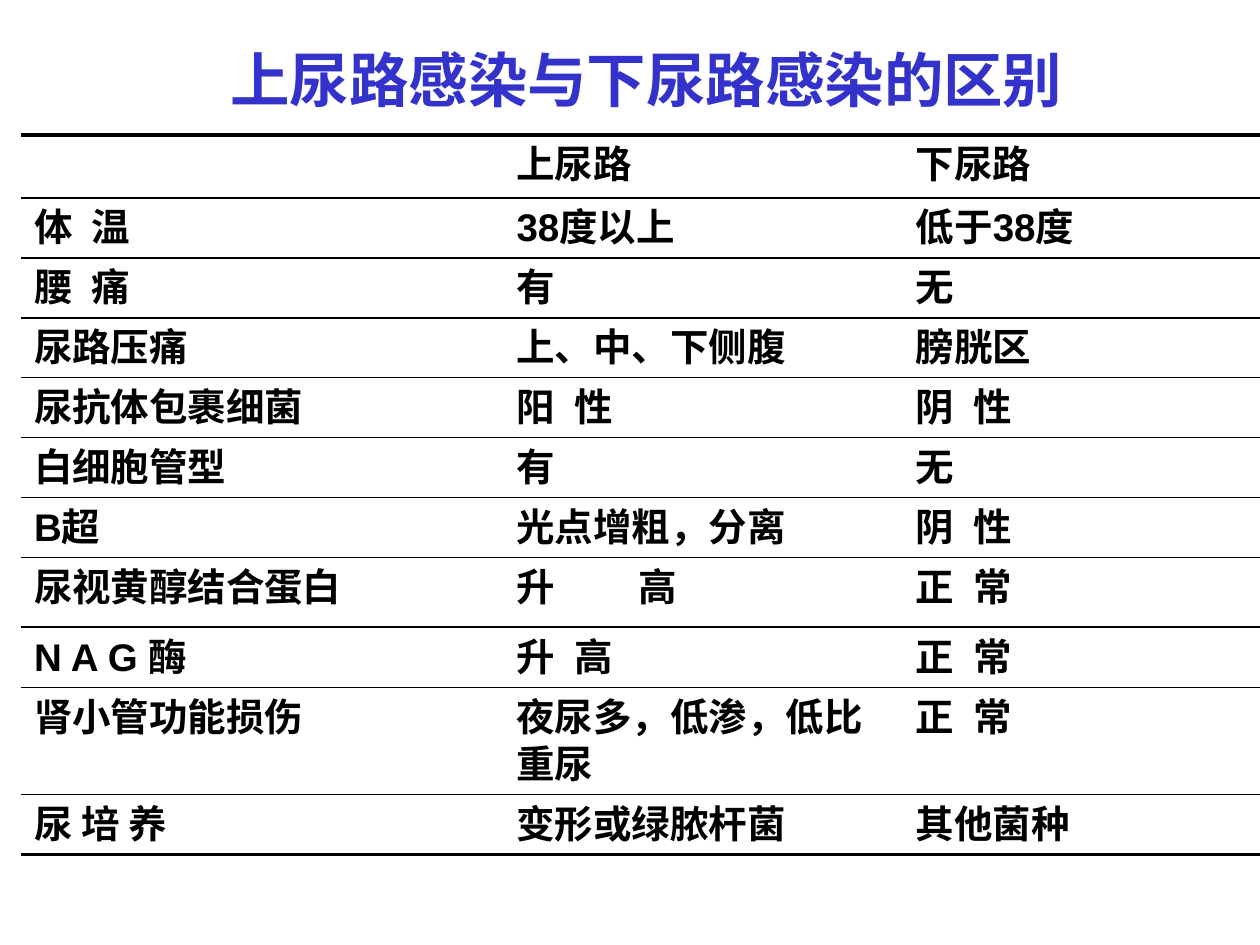
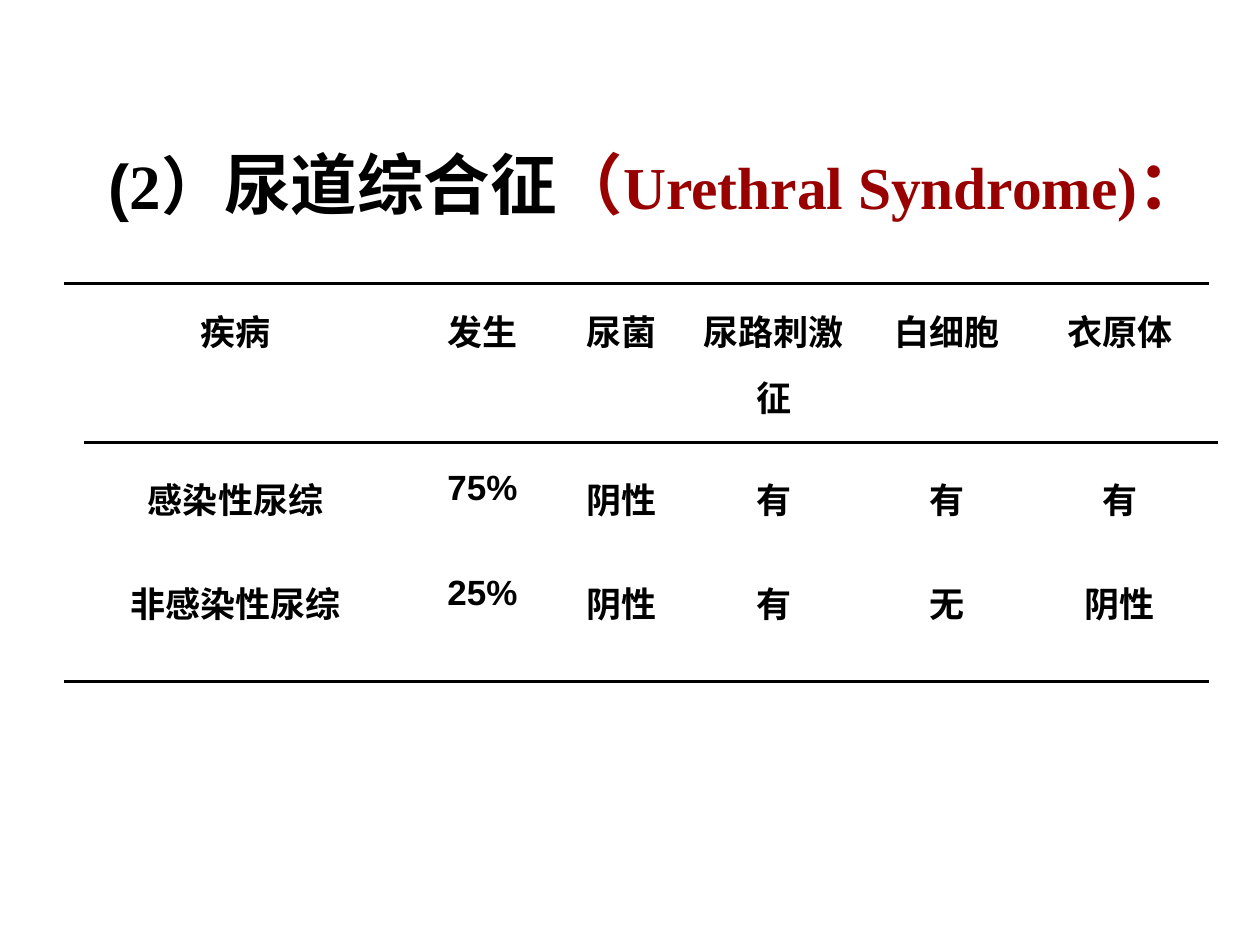
from pptx import Presentation
from pptx.dml.color import RGBColor
from pptx.enum.shapes import MSO_CONNECTOR as CONN
from pptx.enum.text import MSO_ANCHOR as ANCHOR, PP_ALIGN as ALIGN
from pptx.oxml.ns import qn
from pptx.util import Inches, Pt
from lxml.etree import SubElement

BLACK = RGBColor(0x00, 0x00, 0x00)
BLUE = RGBColor(0x33, 0x33, 0xCC)
DARK_RED = RGBColor(0x99, 0x00, 0x00)
ARIAL, TIMES, CJK = "Arial", "Times New Roman", "Noto Sans CJK SC"
THIN, THICK = 1, 2.25
TITLE_INDENT = 0.42


def add_run(p, text, size, font=ARIAL, color=BLACK, gap=0):
    """Add a bold run; gap widens the space after each letter, in points."""
    r = p.add_run()
    r.text = text
    for name, value in {"size": Pt(size), "name": font, "bold": True}.items():
        setattr(r.font, name, value)
    r.font.color.rgb = color
    rpr = r._r.get_or_add_rPr()
    SubElement(rpr, qn("a:ea"), typeface=CJK)
    if gap:
        rpr.set("spc", str(round(gap * 100)))


def add_title(slide, box, runs, line_spacing=1.0):
    tf = slide.shapes.add_textbox(*map(Inches, box)).text_frame
    for name, value in {"word_wrap": True, "vertical_anchor": ANCHOR.MIDDLE,
                        "margin_left": Inches(0.1 + TITLE_INDENT)}.items():
        setattr(tf, name, value)
    p = tf.paragraphs[0]
    p.alignment, p.line_spacing = ALIGN.CENTER, line_spacing
    for run in runs:
        add_run(p, *run)


def set_borders(cell, top, bottom):
    """Rule a cell above and below; a width of 0 means no line."""
    tc_pr = cell._tc.get_or_add_tcPr()
    for side, width in {"L": 0, "R": 0, "T": top, "B": bottom}.items():
        ln = SubElement(tc_pr, qn(f"a:ln{side}"), w=str(Pt(width)))
        if width:
            fill = SubElement(ln, qn("a:solidFill"))
            SubElement(fill, qn("a:srgbClr"), val=str(BLACK))
        else:
            SubElement(ln, qn("a:noFill"))


def fill_cell(cell, content, size, align, line_spacing):
    """Write text, or a (first, second, gap) pair of spread characters."""
    p = cell.text_frame.paragraphs[0]
    p.alignment, p.line_spacing = align, line_spacing
    if isinstance(content, tuple):
        first, second, gap = content
        add_run(p, first, size)
        add_run(p, " ", size, gap=gap)
        add_run(p, second, size)
    elif content:
        add_run(p, content, size)


def add_ruled_table(slide, left, top, widths, heights, rows, inner_rule,
                    size, align, line_spacing):
    """Open table: thick rules outside, inner_rule between the rows."""
    box = map(Inches, (left, top, sum(widths), sum(heights)))
    table = slide.shapes.add_table(len(rows), len(widths), *box).table
    table.first_row = table.horz_banding = False
    for column, width in zip(table.columns, widths):
        column.width = Inches(width)
    rules = [THICK] + [inner_rule] * (len(rows) - 1) + [THICK]
    for i, (row, height) in enumerate(zip(rows, heights)):
        table.rows[i].height = Inches(height)
        for j, content in enumerate(row):
            cell = table.cell(i, j)
            set_borders(cell, rules[i], rules[i + 1])
            cell.fill.background()
            fill_cell(cell, content, size, align, line_spacing)


def add_rule(slide, left, right, y, width):
    line = slide.shapes.add_connector(
        CONN.STRAIGHT, Inches(left), Inches(y), Inches(right), Inches(y))
    line.line.color.rgb, line.line.width = BLACK, Pt(width)
    SubElement(line._element.spPr, qn("a:effectLst"))


def comparison_slide(slide):
    narrow, wide = 6.1, 42.8
    normal, negative = ("正", "常", narrow), ("阴", "性", narrow)
    rows = [
        ("", "上尿路", "下尿路"),
        (("体", "温", narrow), "38度以上", "低于38度"),
        (("腰", "痛", narrow), "有", "无"),
        ("尿路压痛", "上、中、下侧腹", "膀胱区"),
        ("尿抗体包裹细菌", ("阳", "性", narrow), negative),
        ("白细胞管型", "有", "无"),
        ("B超", "光点增粗，分离", negative),
        ("尿视黄醇结合蛋白", ("升", "高", wide), normal),
        ("N A G 酶", ("升", "高", narrow), normal),
        ("肾小管功能损伤", "夜尿多，低渗，低比重尿", normal),
        ("尿 培 养", "变形或绿脓杆菌", "其他菌种"),
    ]
    heights = [0.5, 0.45, 0.45, 0.45, 0.47, 0.45, 0.47, 0.55, 0.48, 0.72, 0.46]
    add_ruled_table(slide, 0.17, 1.07, [3.83, 3.17, 2.83], heights, rows,
                    THIN, 22, ALIGN.LEFT, 0.85)
    add_title(slide, (0.98, 0, 7.88, 1.25),
              [("上尿路感染与下尿路感染的区别", 34, CJK, BLUE)])


def syndrome_slide(slide):
    add_title(slide, (0, 0.68, 10, 1.42), [
        ("(", 36),
        ("2）", 36, TIMES),
        ("尿道综合征", 38, TIMES),
        ("（", 38, TIMES, DARK_RED),
        ("Urethral Syndrome)", 34, TIMES, DARK_RED),
        ("：", 38, TIMES, DARK_RED),
    ], 1.2)
    rows = [
        ("疾病", "发生", "尿菌", "尿路刺激征", "白细胞", "衣原体"),
        ("感染性尿综", "75%", "阴性", "有", "有", "有"),
        ("非感染性尿综", "25%", "阴性", "有", "无", "阴性"),
    ]
    add_ruled_table(slide, 0.51, 2.25, [2.72, 1.2, 1, 1.42, 1.33, 1.42],
                    [1.33, 0.83, 1], rows, 0, 20, ALIGN.CENTER, 1.3)
    # Rule under the header row
    add_rule(slide, 0.67, 9.67, 3.51, 1.5)


def main():
    prs = Presentation()
    prs.slide_width, prs.slide_height = Inches(10), Inches(7.5)
    for build in (comparison_slide, syndrome_slide):
        build(prs.slides.add_slide(prs.slide_layouts[6]))
    prs.save("out.pptx")


if __name__ == "__main__":
    main()
